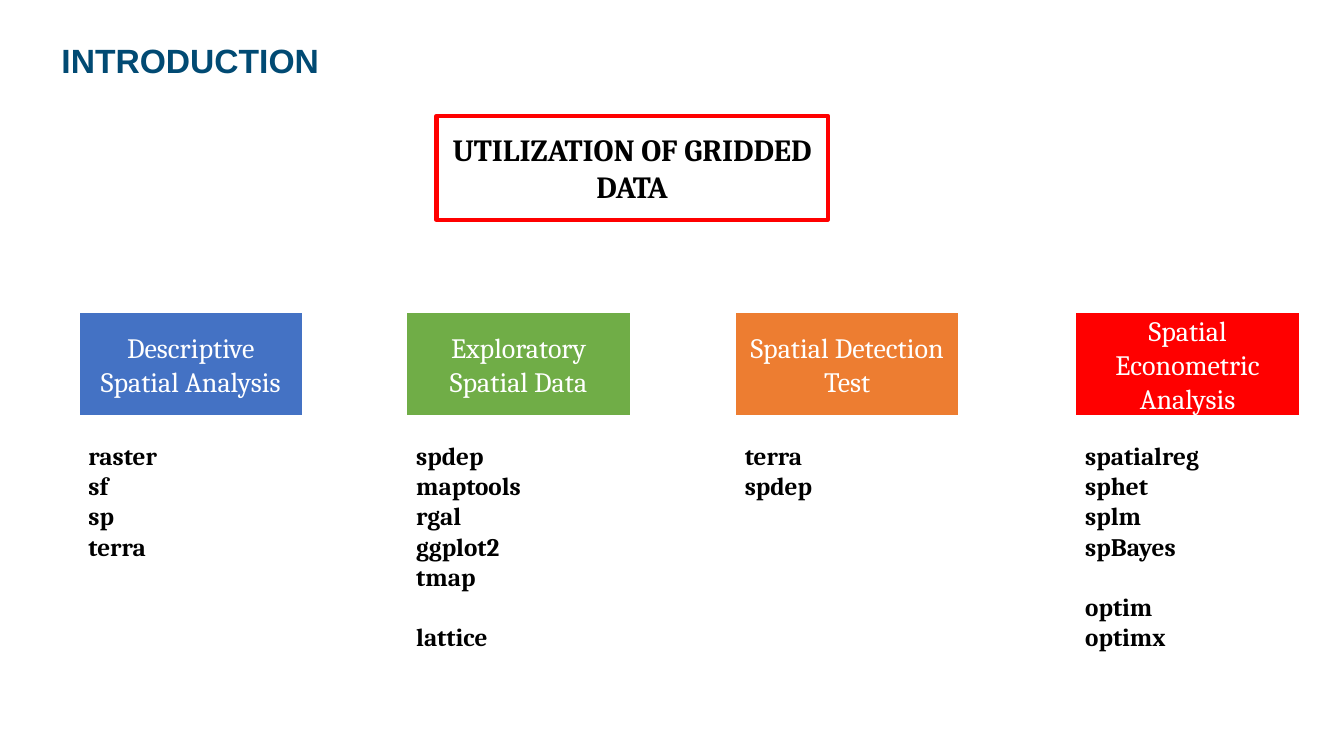
from pptx import Presentation
from pptx.dml.color import RGBColor
from pptx.enum.shapes import MSO_SHAPE
from pptx.enum.text import MSO_ANCHOR, MSO_AUTO_SIZE, PP_ALIGN
from pptx.util import Cm, Pt

RECT = MSO_SHAPE.RECTANGLE
MIDDLE = MSO_ANCHOR.MIDDLE
GROW = MSO_AUTO_SIZE.SHAPE_TO_FIT_TEXT
LEFT, CENTER = PP_ALIGN.LEFT, PP_ALIGN.CENTER

COLUMN_TOP, COLUMN_W, HEADER_H = 7.87, 5.66, 2.62
LIST_OFFSET, LINE_H = 3.1, 0.76
COLUMNS = [
    (1.98, 5.66, "4472C4", ["Descriptive", "Spatial Analysis"],
     [["raster", "sf", "sp", "terra"]]),
    (10.24, 5.66, "70AD47", ["Exploratory", "Spatial Data"],
     [["spdep", "maptools", "rgal", "ggplot2", "tmap"], ["lattice"]]),
    (18.52, 5.97, "ED7D31", ["Spatial Detection Test"],
     [["terra", "spdep"]]),
    (27.1, 6.32, "FF0000", ["Spatial Econometric Analysis"],
     [["spatialreg", "sphet", "splm", "spBayes"], ["optim", "optimx"]]),
]


def rgb(value):
    """Return the colour for a hex string."""
    return RGBColor.from_string(value)


def add_text(tf, text, first=False, size=18, font="Cambria", color="000000",
             bold=False, align=LEFT, before=0, spacing=None):
    """Write one formatted paragraph into a text frame."""
    p = tf.paragraphs[0] if first else tf.add_paragraph()
    p.alignment = align
    if before:
        p.space_before = Cm(before)
    if spacing:
        p.line_spacing = spacing
    r = p.add_run()
    r.text = text
    r.font.size, r.font.name, r.font.bold = Pt(size), font, bold
    r.font.color.rgb = rgb(color)


def add_textbox(s, x, y, w, h):
    """Add a wrapping text box and return its text frame."""
    tf = s.shapes.add_textbox(Cm(x), Cm(y), Cm(w), Cm(h)).text_frame
    tf.word_wrap = True
    return tf


def add_box(s, x, y, w, h, lines, fill, line, width, **style):
    """Add a filled rectangle with centred lines of text."""
    sp = s.shapes.add_shape(RECT, Cm(x), Cm(y), Cm(w), Cm(h))
    sp.shadow.inherit = False
    sp.fill.solid()
    sp.fill.fore_color.rgb = rgb(fill)
    sp.line.color.rgb = rgb(line)
    sp.line.width = Pt(width)
    tf = sp.text_frame
    tf.word_wrap = True
    tf.vertical_anchor = MIDDLE
    for i, text in enumerate(lines):
        add_text(tf, text, first=i == 0, align=CENTER, **style)


def add_title(s, x, y, w, h):
    """Add the slide title."""
    tf = add_textbox(s, x, y, w, h)
    tf.vertical_anchor = MIDDLE
    tf.margin_left = Cm(1.55)
    add_text(tf, "INTRODUCTION", first=True, size=24, font="Arial",
             color="014A73", bold=True, spacing=0.9)


def add_column(s, x, y, w, list_w, fill, header, groups):
    """Add a coloured header with its grouped package list below."""
    add_box(s, x, y, w, HEADER_H, header, fill, "FFFFFF", 1.5,
            size=20, color="FFFFFF")
    rows = sum(len(group) for group in groups) + len(groups) - 1
    tf = add_textbox(s, x, y + LIST_OFFSET, list_w, rows * LINE_H + 0.25)
    tf.auto_size = GROW
    for g, group in enumerate(groups):
        for i, package in enumerate(group):
            add_text(tf, package, first=g == i == 0, bold=True,
                     before=LINE_H if g and i == 0 else 0)


def main():
    """Build the slide and save it."""
    prs = Presentation()
    prs.slide_width, prs.slide_height = Cm(33.87), Cm(19.05)
    s = prs.slides.add_slide(prs.slide_layouts[6])
    add_title(s, 0, 0.76, 29.21, 1.65)
    add_box(s, 11, 2.92, 9.86, 2.62, ["UTILIZATION OF GRIDDED DATA"],
            "FFFFFF", "FF0000", 3, size=22, bold=True)
    for x, list_w, fill, header, groups in COLUMNS:
        add_column(s, x, COLUMN_TOP, COLUMN_W, list_w, fill, header, groups)
    prs.save("out.pptx")


if __name__ == "__main__":
    main()
